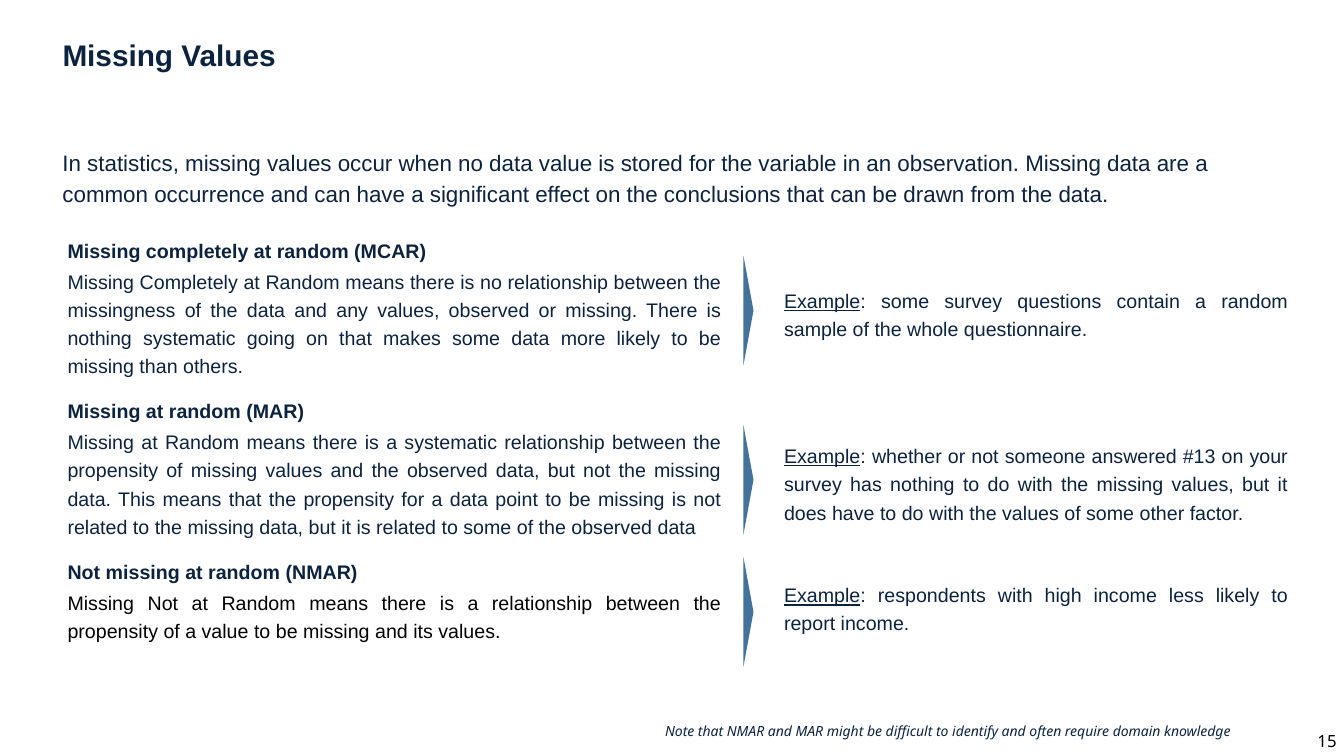
from dataclasses import dataclass

from pptx import Presentation
from pptx.dml.color import RGBColor
from pptx.enum.shapes import MSO_SHAPE
from pptx.enum.text import MSO_AUTO_SIZE, PP_ALIGN
from pptx.util import Pt

NAVY = RGBColor(0x0C, 0x23, 0x40)
STEEL = RGBColor(0x43, 0x72, 0x9B)
BLACK = RGBColor(0, 0, 0)
JUSTIFY = PP_ALIGN.JUSTIFY
LEFT = PP_ALIGN.LEFT
GROW = MSO_AUTO_SIZE.SHAPE_TO_FIT_TEXT
FIXED = MSO_AUTO_SIZE.NONE
TRIANGLE = MSO_SHAPE.ISOSCELES_TRIANGLE

MARGIN = 44.64
EXAMPLE_LEFT, EXAMPLE_WIDTH = 552.96, 374.4
ARROW_LEFT, ARROW_LENGTH, ARROW_DEPTH = 495.36, 78.48, 7.2


@dataclass
class Mechanism:
    heading: str
    definition: str
    example: str
    example_top: float
    example_height: float
    arrow_top: float
    definition_color: RGBColor = NAVY


MECHANISMS = [
    Mechanism(
        "Missing completely at random (MCAR)",
        "Missing Completely at Random means there is no relationship between the "
        "missingness of the data and any values, observed or missing. There is nothing "
        "systematic going on that makes some data more likely to be missing than others.",
        "some survey questions contain a random sample of the whole questionnaire.",
        199.44, 46.08, 218.16),
    Mechanism(
        "Missing at random (MAR)",
        "Missing at Random means there is a systematic relationship between the "
        "propensity of missing values and the observed data, but not the missing data. "
        "This means that the propensity for a data point to be missing is not related "
        "to the missing data, but it is related to some of the observed data",
        "whether or not someone answered #13 on your survey has nothing to do with the "
        "missing values, but it does have to do with the values of some other factor.",
        310.32, 66.24, 339.12),
    Mechanism(
        "Not missing at random (NMAR)",
        "Missing Not at Random means there is a relationship between the propensity of "
        "a value to be missing and its values.",
        "respondents with high income less likely to report income.",
        409.68, 46.08, 433.44, BLACK),
]


def add_box(slide, left: float, top: float, width: float, height: float, *,
            inset: tuple[float, float] = (7.2, 3.6), wrap: bool = True,
            auto_size=GROW):
    """Add an empty text box and return its text frame."""
    frame = slide.shapes.add_textbox(Pt(left), Pt(top), Pt(width), Pt(height)).text_frame
    frame.margin_left = frame.margin_right = Pt(inset[0])
    frame.margin_top = frame.margin_bottom = Pt(inset[1])
    frame.word_wrap = wrap
    frame.auto_size = auto_size
    return frame


def add_text(frame, text: str, *, size: float = 14, font: str = "Arial",
             color: RGBColor = NAVY, bold: bool = False, italic: bool = False,
             underlined: str = "", align=JUSTIFY, line_spacing=1.2,
             before: float = 0, after: float = 0) -> None:
    """Fill the first paragraph, or append one, after an optional underlined lead."""
    paragraph = frame.paragraphs[0]
    if paragraph.runs:
        paragraph = frame.add_paragraph()
        paragraph.space_before = Pt(before)
    paragraph.alignment = align
    paragraph.line_spacing = line_spacing
    paragraph.space_after = Pt(after)
    for words, underline in ((underlined, True), (text, False)):
        if not words:
            continue
        run = paragraph.add_run()
        run.text = words
        run.font.name = font
        run.font.size = Pt(size)
        run.font.color.rgb = color
        run.font.bold = bold
        run.font.italic = italic
        run.font.underline = underline


def add_arrow(slide, top: float) -> None:
    """Add a flat triangle that points right."""
    shape = slide.shapes.add_shape(TRIANGLE, Pt(ARROW_LEFT), Pt(top),
                                   Pt(ARROW_LENGTH), Pt(ARROW_DEPTH))
    shape.rotation = 90
    shape.shadow.inherit = False
    shape.fill.solid()
    shape.fill.fore_color.rgb = STEEL
    shape.line.fill.background()


def main() -> None:
    presentation = Presentation()
    presentation.slide_width, presentation.slide_height = Pt(960), Pt(540)
    slide = presentation.slides.add_slide(presentation.slide_layouts[6])

    # Title and introduction
    title = add_box(slide, MARGIN, 25.92, 877.68, 24.48, inset=(0, 0), auto_size=FIXED)
    add_text(title, "Missing Values", size=21.3, bold=True, align=LEFT, line_spacing=1.0)
    introduction = add_box(slide, MARGIN, 103.68, 880.56, 372.96, inset=(0, 0),
                           auto_size=FIXED)
    add_text(introduction,
             "In statistics, missing values occur when no data value is stored for the "
             "variable in an observation. Missing data are a common occurrence and can have "
             "a significant effect on the conclusions that can be drawn from the data.",
             size=16, align=LEFT, line_spacing=Pt(21.9), after=5.3)

    # Definitions, each with an arrow to its example
    definitions = add_box(slide, MARGIN, 163.44, 474.48, 302.4, inset=(3.6, 3.6))
    for mechanism in MECHANISMS:
        add_text(definitions, mechanism.heading, bold=True, before=12)
        add_text(definitions, mechanism.definition, color=mechanism.definition_color,
                 before=2)
        add_arrow(slide, mechanism.arrow_top)
        example = add_box(slide, EXAMPLE_LEFT, mechanism.example_top,
                          EXAMPLE_WIDTH, mechanism.example_height)
        add_text(example, f": {mechanism.example}", underlined="Example")

    # Note and page number
    note = add_box(slide, 468, 510.48, 480.24, 20.88)
    add_text(note, "Note that NMAR and MAR might be difficult to identify and often "
             "require domain knowledge", size=10, font="Noto Sans", italic=True)
    page_number = add_box(slide, 937.44, 518.4, 22.32, 21.6, inset=(3.6, 3.6), wrap=False)
    add_text(page_number, "15", size=12, font="Noto Sans", color=BLACK, align=LEFT,
             line_spacing=1.0)

    presentation.save("out.pptx")


if __name__ == "__main__":
    main()
